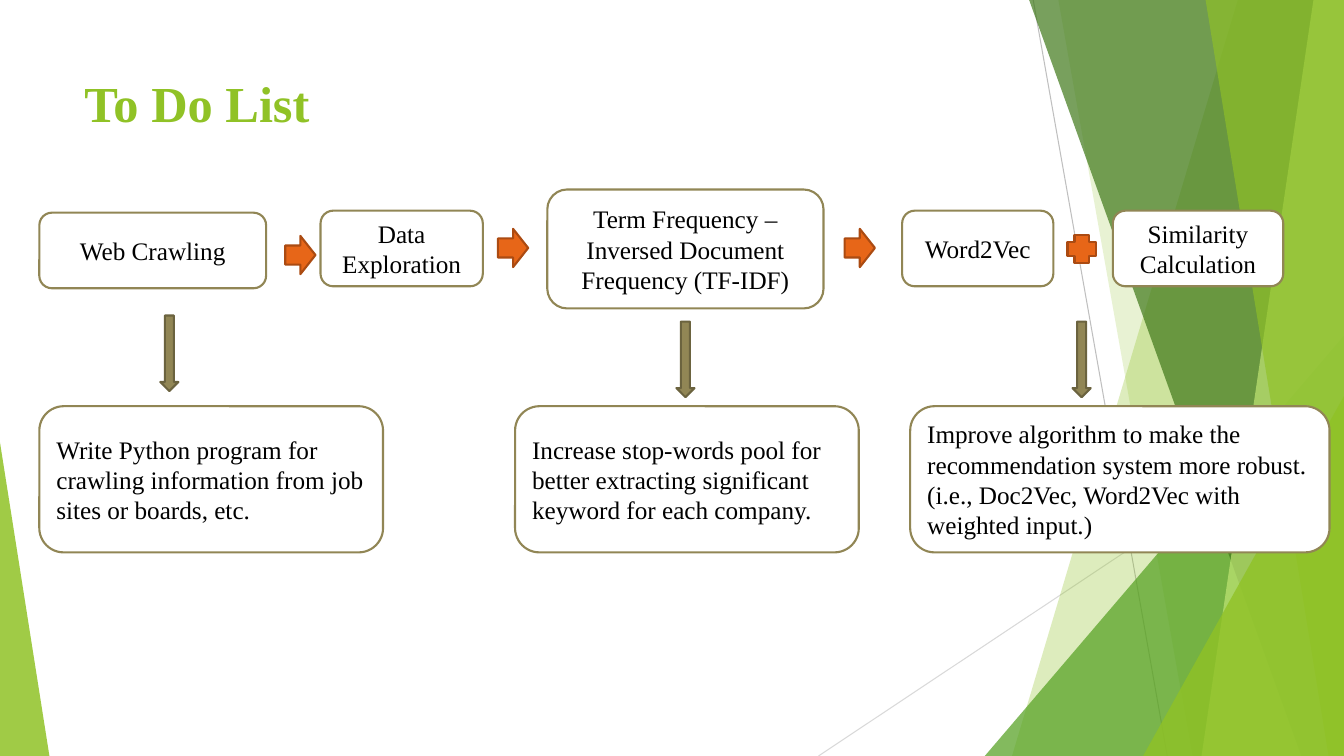
"""Build the To Do List slide: a process flow with tasks below it."""
from lxml import etree
from pptx import Presentation
from pptx import util as u
from pptx.dml.color import RGBColor
from pptx.enum import shapes, text
from pptx.oxml import ns

GREEN = RGBColor(0x90, 0xC2, 0x26)
MID_GREEN = RGBColor(0x54, 0xA0, 0x21)
DARK_GREEN = RGBColor(0x3F, 0x78, 0x19)
PALE_GREEN = RGBColor(0xC0, 0xE4, 0x74)
ORANGE = RGBColor(0xE7, 0x66, 0x18)
DARK_ORANGE = RGBColor(0xAB, 0x4B, 0x12)
KHAKI = RGBColor(0x91, 0x86, 0x55)
DARK_KHAKI = RGBColor(0x6B, 0x63, 0x3F)
GREY = RGBColor(0xBF, 0xBF, 0xBF)
LIGHT_GREY = RGBColor(0xD9, 0xD9, 0xD9)
WHITE = RGBColor(0xFF, 0xFF, 0xFF)
BLACK = RGBColor(0, 0, 0)

CELL = u.Inches(0.1)
COLUMNS, ROWS = 133.33, 75
SHAPE = shapes.MSO_SHAPE
ALIGN = text.PP_ALIGN
ANCHOR = text.MSO_ANCHOR


def cells(*counts):
    return [round(count * CELL) for count in counts]


def write(shape, words, size=18, color=BLACK, bold=False, align=ALIGN.LEFT, anchor=ANCHOR.MIDDLE):
    frame = shape.text_frame
    frame.word_wrap = True
    frame.vertical_anchor = anchor
    paragraph = frame.paragraphs[0]
    paragraph.alignment = align
    run = paragraph.add_run()
    run.text = words
    run.font.name = "Times New Roman"
    run.font.size = u.Pt(size)
    run.font.bold = bold
    run.font.color.rgb = color


class FlowSlide:
    def __init__(self, slide, line_width=1.5):
        self.shapes = slide.shapes
        self.line_width = u.Pt(line_width)

    def paint(self, shape, fill, line=None, opacity=100):
        shape.shadow.inherit = False
        shape.fill.solid()
        shape.fill.fore_color.rgb = fill
        if opacity < 100:
            color = shape._element.spPr.find(".//" + ns.qn("a:srgbClr"))
            etree.SubElement(color, ns.qn("a:alpha"), val=str(opacity * 1000))
        if line is None:
            shape.line.fill.background()
        else:
            shape.line.color.rgb = line
            shape.line.width = self.line_width
        return shape

    def preset(self, kind, place, fill, line=None, opacity=100):
        return self.paint(self.shapes.add_shape(kind, *cells(*place)), fill, line, opacity)

    def band(self, points, fill, opacity):
        start, *others = [cells(*point) for point in points]
        builder = self.shapes.build_freeform(*start)
        builder.add_line_segments(others, close=True)
        self.paint(builder.convert_to_shape(), fill, opacity=opacity)

    def wedge(self, place, tip, fill, opacity):
        self.preset(SHAPE.ISOSCELES_TRIANGLE, place, fill, opacity=opacity).adjustments[0] = tip

    def ray(self, ends, color):
        connector = self.shapes.add_connector(shapes.MSO_CONNECTOR.STRAIGHT, *cells(*ends))
        connector.line.color.rgb = color
        connector.line.width = u.Pt(0.75)
        etree.SubElement(connector._element.spPr, ns.qn("a:effectLst"))

    def title(self, place, words):
        box = self.shapes.add_textbox(*cells(*place))
        write(box, words, size=36, color=GREEN, bold=True, anchor=ANCHOR.TOP)

    def box(self, place, words, align):
        write(self.preset(SHAPE.ROUNDED_RECTANGLE, place, WHITE, KHAKI), words, align=align)


def draw_backdrop(page):
    page.ray((102.5, 0, 115.8, ROWS), GREY)
    page.ray((COLUMNS, 40.3, 81.2, ROWS), LIGHT_GREY)

    def edge_band(top, bottom, fill, opacity):
        page.band([(top, 0), (COLUMNS, 0), (COLUMNS, ROWS), (bottom, ROWS)], fill, opacity)

    edge_band(122.8, 100.4, GREEN, 30)
    edge_band(105, 118.3, GREEN, 20)
    page.wedge((97.7, 33.3, 35.63, 41.7), 1, MID_GREEN, 72)
    edge_band(102.1, 129.1, DARK_GREEN, 70)
    edge_band(130.3, 119.2, PALE_GREEN, 70)
    edge_band(119.6, 131.8, GREEN, 65)
    page.wedge((113.4, 39.3, 19.93, 35.7), 1, GREEN, 80)
    page.wedge((0, 43.9, 4.9, 31.1), 0, GREEN, 85)


def draw_flow(page):
    steps = [
        ("Web Crawling", 3.9, 21.1, 22.5, 7.5),
        ("Data Exploration", 31.8, 20.9, 16.1, 7.5),
        ("Term Frequency – Inversed Document Frequency (TF-IDF)", 54.3, 18.8, 27.4, 11.8),
        ("Word2Vec", 89.5, 20.9, 15, 7.5),
        ("Similarity Calculation", 110.4, 20.9, 16.9, 7.5),
    ]
    for words, *place in steps:
        page.box(place, words, ALIGN.CENTER)
    for left, top in [(28.3, 23.4), (49.4, 22.7), (83.8, 22.7)]:
        page.preset(SHAPE.RIGHT_ARROW, (left, top, 3, 3.8), ORANGE, DARK_ORANGE)
    page.preset(SHAPE.CROSS, (105.9, 23.3, 2.8, 2.8), ORANGE, DARK_ORANGE)


def draw_tasks(page):
    tasks = [
        ("Write Python program for crawling information from job sites or boards, etc.",
         3.9, 34.1, 15.9, 31.3),
        ("Increase stop-words pool for better extracting significant keyword for each company.",
         51.1, 34.1, 67.1, 31.9),
        ("Improve algorithm to make the recommendation system more robust. "
         "(i.e., Doc2Vec, Word2Vec with weighted input.)", 90.3, 41.6, 106.4, 31.9),
    ]
    for words, left, width, arrow_left, arrow_top in tasks:
        page.preset(SHAPE.DOWN_ARROW, (arrow_left, arrow_top, 1.8, 7.5), KHAKI, DARK_KHAKI)
        page.box((left, 40.3, width, 14.5), words, ALIGN.LEFT)


def main():
    presentation = Presentation()
    presentation.slide_width, presentation.slide_height = cells(COLUMNS, ROWS)
    page = FlowSlide(presentation.slides.add_slide(presentation.slide_layouts[6]))
    draw_backdrop(page)
    page.title((7.4, 6.7, 94, 14.4), "To Do List")
    draw_flow(page)
    draw_tasks(page)
    presentation.save("out.pptx")


if __name__ == "__main__":
    main()
